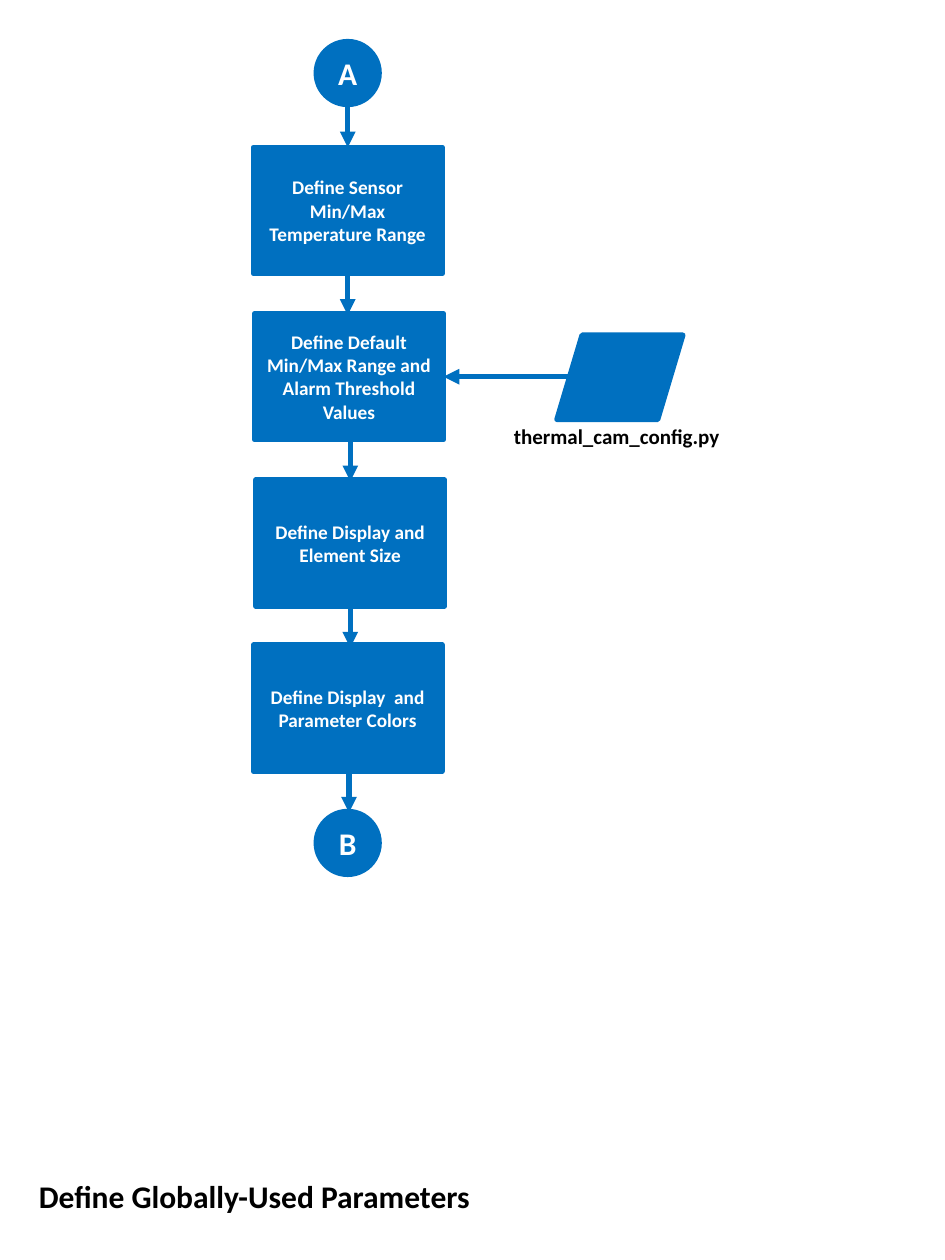
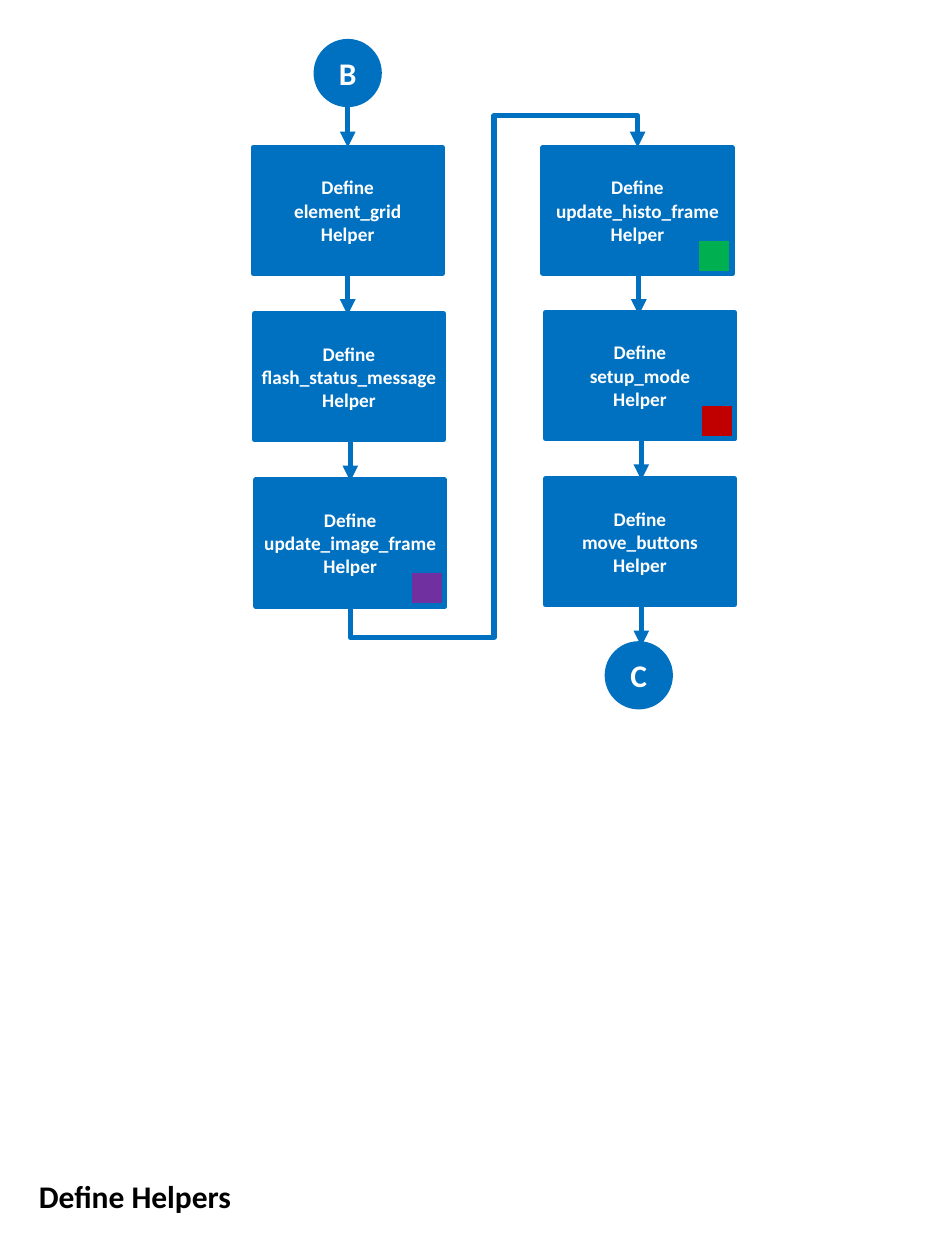
from lxml.etree import SubElement
from pptx import Presentation
from pptx.dml.color import RGBColor
from pptx.enum.shapes import MSO_CONNECTOR, MSO_SHAPE
from pptx.enum.text import MSO_ANCHOR, MSO_AUTO_SIZE, PP_ALIGN
from pptx.oxml.ns import qn
from pptx.util import Pt

PX = 9144
BLUE, WHITE, BLACK = "0070C0", "FFFFFF", "000000"
GREEN, RED, PURPLE = "00B050", "C00000", "7030A0"
BOX_W, BOX_H, DISC, DOT, DROP = 150, 100, 50, 28, 33
TIGHT = dict.fromkeys(
    ("margin_left", "margin_right", "margin_top", "margin_bottom"), 5 * PX)


def px(*nums):
    return [num * PX for num in nums]


def tint(code):
    return RGBColor.from_string(code)


def apply(item, style):
    for key, value in style.items():
        setattr(item, key, value)


def write(frame, text, size, color, align, style):
    apply(frame, {"word_wrap": True, **style})
    for at, words in enumerate(text.split("\n")):
        para = frame.paragraphs[0] if at == 0 else frame.add_paragraph()
        para.alignment = align
        run = para.add_run()
        run.text = words
        apply(run.font, {"name": "Calibri", "size": Pt(size), "bold": True})
        run.font.color.rgb = tint(color)


def block(slide, kind, x, y, w, h, fill=BLUE):
    shape = slide.shapes.add_shape(kind, *px(x, y, w, h))
    shape.shadow.inherit = False
    shape.fill.solid()
    shape.fill.fore_color.rgb = tint(fill)
    shape.line.color.rgb = tint(BLUE)
    shape.line.width = Pt(3)
    return shape


def step(slide, x, y, text, mark=None):
    shape = block(slide, MSO_SHAPE.FLOWCHART_PROCESS, x, y, BOX_W, BOX_H)
    write(shape.text_frame, text, 11, WHITE, PP_ALIGN.CENTER,
          {"vertical_anchor": MSO_ANCHOR.MIDDLE, **TIGHT})
    if mark:
        block(slide, MSO_SHAPE.RECTANGLE, x + BOX_W - DOT,
              y + BOX_H - DOT, DOT, DOT, mark)


def disc(slide, x, y, text):
    shape = block(slide, MSO_SHAPE.OVAL, x, y, DISC, DISC)
    write(shape.text_frame, text, 18, WHITE, PP_ALIGN.CENTER,
          {"vertical_anchor": MSO_ANCHOR.MIDDLE})


def label(slide, x, y, w, h, text, size, wrap=True):
    box = slide.shapes.add_textbox(*px(x, y, w, h))
    write(box.text_frame, text, size, BLACK, PP_ALIGN.LEFT,
          {"word_wrap": wrap, "auto_size": MSO_AUTO_SIZE.SHAPE_TO_FIT_TEXT})


def arrow(slide, x1, y1, x2, y2, kind=MSO_CONNECTOR.STRAIGHT):
    link = slide.shapes.add_connector(kind, *px(x1, y1, x2, y2))
    link.line.color.rgb = tint(BLUE)
    link.line.width = Pt(3)
    props = link._element.spPr
    SubElement(props.find(qn("a:ln")), qn("a:tailEnd"), type="triangle")
    SubElement(props, qn("a:effectLst"))
    return props


def drops(slide, *spots):
    for x, y in spots:
        arrow(slide, x, y, x, y + DROP)


def detour(slide, x1, y1, x2, y2, out):
    mid_x, mid_y = (x1 + x2) // 2, (y1 + y2) // 2
    half_w, half_h = (y1 - y2) // 2, (x2 - x1) // 2
    props = arrow(slide, mid_x + half_w, mid_y + half_h,
                  mid_x - half_w, mid_y - half_h, MSO_CONNECTOR.ELBOW)
    props.find(qn("a:xfrm")).set("rot", "5400000")
    geom = props.find(qn("a:prstGeom"))
    geom.set("prst", "bentConnector5")
    bends = geom.find(qn("a:avLst"))
    if bends is None:
        bends = SubElement(geom, qn("a:avLst"))
    part = round(100000 * out / (y1 - y2))
    for num, value in enumerate((-part, 50000, 100000 + part), 1):
        SubElement(bends, qn("a:gd"), name=f"adj{num}", fmla=f"val {value}")


def page(deck, title, start):
    slide = deck.slides.add_slide(deck.slide_layouts[6])
    label(slide, 21, 929, 410, 40, title, 18)
    disc(slide, 251, 33, start)
    drops(slide, (276, 84), (276, 217), (278, 349))
    return slide


def params(deck):
    slide = page(deck, "Define Globally-Used Parameters", "A")
    step(slide, 201, 117, "Define Sensor Min/Max Temperature Range")
    step(slide, 202, 249,
         "Define Default Min/Max Range and Alarm Threshold Values")
    step(slide, 203, 381, "Define Display and Element Size")
    step(slide, 201, 512, "Define Display  and Parameter Colors")
    disc(slide, 251, 644, "B")
    drops(slide, (278, 481), (277, 612))
    block(slide, MSO_SHAPE.FLOWCHART_DATA, 442, 266, 100, 67)
    arrow(slide, 452, 299, 352, 299)
    label(slide, 398, 331, 185, 30, "thermal_cam_config.py", 12, False)


def helpers(deck):
    slide = page(deck, "Define Helpers", "B")
    step(slide, 201, 117, "Define\nelement_grid\nHelper")
    step(slide, 202, 249, "Define\nflash_status_message Helper")
    step(slide, 203, 381, "Define update_image_frame Helper", PURPLE)
    step(slide, 431, 117, "Define update_histo_frame Helper", GREEN)
    step(slide, 433, 248, "Define\nsetup_mode\nHelper", RED)
    step(slide, 433, 380, "Define\nmove_buttons\nHelper")
    disc(slide, 482, 511, "C")
    drops(slide, (507, 217), (509, 348), (509, 480))
    detour(slide, 278, 481, 506, 117, 25)


def main():
    deck = Presentation()
    apply(deck, {"slide_width": 750 * PX, "slide_height": 1000 * PX})
    params(deck)
    helpers(deck)
    deck.save("out.pptx")


if __name__ == "__main__":
    main()
